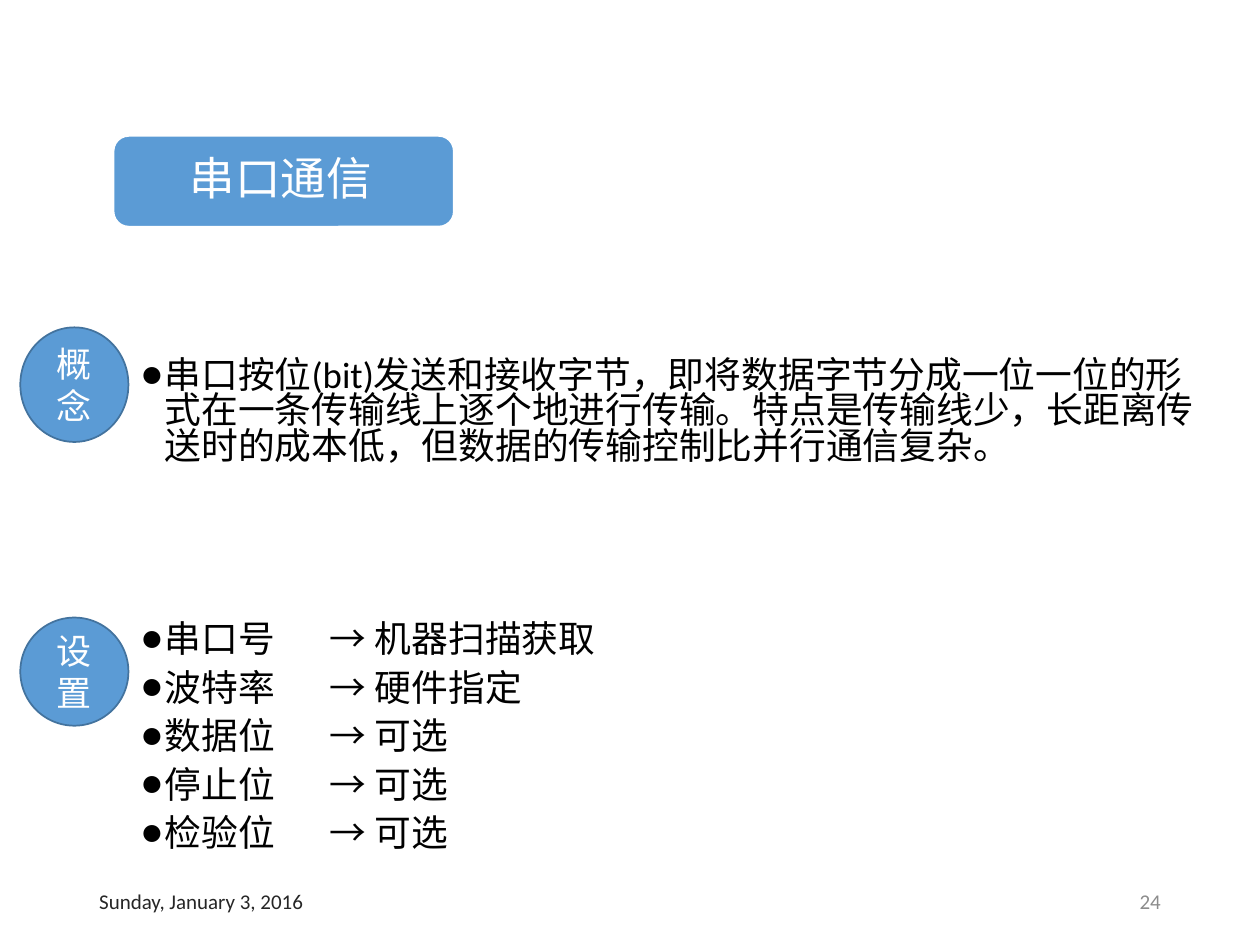
from dataclasses import dataclass

from lxml.etree import SubElement
from pptx import Presentation
from pptx.dml.color import RGBColor
from pptx.enum.shapes import MSO_SHAPE
from pptx.enum.text import MSO_ANCHOR, PP_ALIGN
from pptx.oxml.ns import qn
from pptx.shapes.autoshape import Shape
from pptx.slide import Slide
from pptx.util import Cm, Pt

COLORS = {
    "blue": "5B9BD5", "outline": "43739E", "white": "FFFFFF",
    "black": "000000", "date": "262626", "number": "8C8C8C",
}
LATIN_FONT = "Calibri"
CHINESE_FONT = "Noto Sans CJK SC"


@dataclass(frozen=True)
class Box:
    left: float
    top: float
    width: float
    height: float

    def lengths(self) -> tuple[Cm, Cm, Cm, Cm]:
        return Cm(self.left), Cm(self.top), Cm(self.width), Cm(self.height)


@dataclass(frozen=True)
class Section:
    label: str
    circle: Box
    body: Box
    items: tuple[str, ...]


@dataclass(frozen=True)
class Footer:
    text: str
    box: Box
    color: str
    alignment: PP_ALIGN


SETTINGS = (
    ("串口号", "机器扫描获取"),
    ("波特率", "硬件指定"),
    ("数据位", "可选"),
    ("停止位", "可选"),
    ("检验位", "可选"),
)
SECTIONS = (
    Section("概念", Box(0.41, 6.6, 2.18, 2.31), Box(2.59, 7.14, 21.89, 2.9), (
        "串口按位(bit)发送和接收字节，即将数据字节分成一位一位的形式在一条传输线上逐个地进行传输。"
        "特点是传输线少，长距离传送时的成本低，但数据的传输控制比并行通信复杂。",
    )),
    Section("设置", Box(0.41, 12.45, 2.18, 2.18), Box(2.59, 12.47, 21.89, 5.2),
            tuple(f"{name}\t→ {source}" for name, source in SETTINGS)),
)
FOOTERS = (
    Footer("Sunday, January 3, 2016", Box(1.75, 17.65, 5.72, 1.02), "date", PP_ALIGN.LEFT),
    Footer("24", Box(17.93, 17.65, 5.72, 1.02), "number", PP_ALIGN.RIGHT),
)


def add_run(paragraph, text: str, size: float, color: str, font: str = LATIN_FONT) -> None:
    run = paragraph.add_run()
    run.text = text
    run.font.size = Pt(size)
    run.font.name = font
    run.font.color.rgb = RGBColor.from_string(COLORS[color])
    SubElement(run.font._element, qn("a:ea"), typeface=CHINESE_FONT)


def add_bullet(paragraph) -> None:
    """Give the paragraph a hanging round bullet and one tab stop."""
    properties = paragraph._p.get_or_add_pPr()
    properties.set("marL", str(Cm(0.48)))
    properties.set("indent", str(-Cm(0.48)))
    SubElement(properties, qn("a:buFont"), typeface=LATIN_FONT)
    SubElement(properties, qn("a:buChar"), char="●")
    tabs = SubElement(properties, qn("a:tabLst"))
    SubElement(tabs, qn("a:tab"), pos=str(Cm(3.81)), algn="l")


def add_blue_shape(slide: Slide, kind: MSO_SHAPE, box: Box, line: str) -> Shape:
    shape = slide.shapes.add_shape(kind, *box.lengths())
    shape.shadow.inherit = False
    shape.fill.solid()
    shape.fill.fore_color.rgb = RGBColor.from_string(COLORS["blue"])
    shape.line.color.rgb = RGBColor.from_string(COLORS[line])
    shape.line.width = Pt(1)
    shape.text_frame.word_wrap = True
    shape.text_frame.vertical_anchor = MSO_ANCHOR.MIDDLE
    return shape


def add_title(slide: Slide) -> None:
    box = Box(2.29, 2.74, 6.86, 1.83)
    frame = add_blue_shape(slide, MSO_SHAPE.ROUNDED_RECTANGLE, box, "white").text_frame
    frame.margin_left = Cm(1.45)
    frame.margin_right = frame.margin_top = frame.margin_bottom = Cm(0.28)
    paragraph = frame.paragraphs[0]
    paragraph.alignment = PP_ALIGN.LEFT
    paragraph.line_spacing = 0.9
    add_run(paragraph, "串口通信", 26, "white")


def add_section(slide: Slide, section: Section) -> None:
    body = slide.shapes.add_textbox(*section.body.lengths()).text_frame
    body.word_wrap = True
    for index, item in enumerate(section.items):
        paragraph = body.add_paragraph() if index else body.paragraphs[0]
        paragraph.line_spacing = 0.8
        paragraph.space_before = Pt(7.5)
        add_bullet(paragraph)
        add_run(paragraph, item, 21, "black")

    circle = add_blue_shape(slide, MSO_SHAPE.FLOWCHART_CONNECTOR, section.circle, "outline")
    label = circle.text_frame.paragraphs[0]
    label.alignment = PP_ALIGN.CENTER
    add_run(label, section.label, 20, "white", CHINESE_FONT)


def add_footer(slide: Slide, footer: Footer) -> None:
    frame = slide.shapes.add_textbox(*footer.box.lengths()).text_frame
    frame.word_wrap = True
    frame.vertical_anchor = MSO_ANCHOR.MIDDLE
    paragraph = frame.paragraphs[0]
    paragraph.alignment = footer.alignment
    add_run(paragraph, footer.text, 12, footer.color)


def main() -> None:
    presentation = Presentation()
    presentation.slide_width, presentation.slide_height = Cm(25.4), Cm(19.05)
    slide = presentation.slides.add_slide(presentation.slide_layouts[6])
    add_title(slide)
    for section in SECTIONS:
        add_section(slide, section)
    for footer in FOOTERS:
        add_footer(slide, footer)
    presentation.save("out.pptx")


if __name__ == "__main__":
    main()
